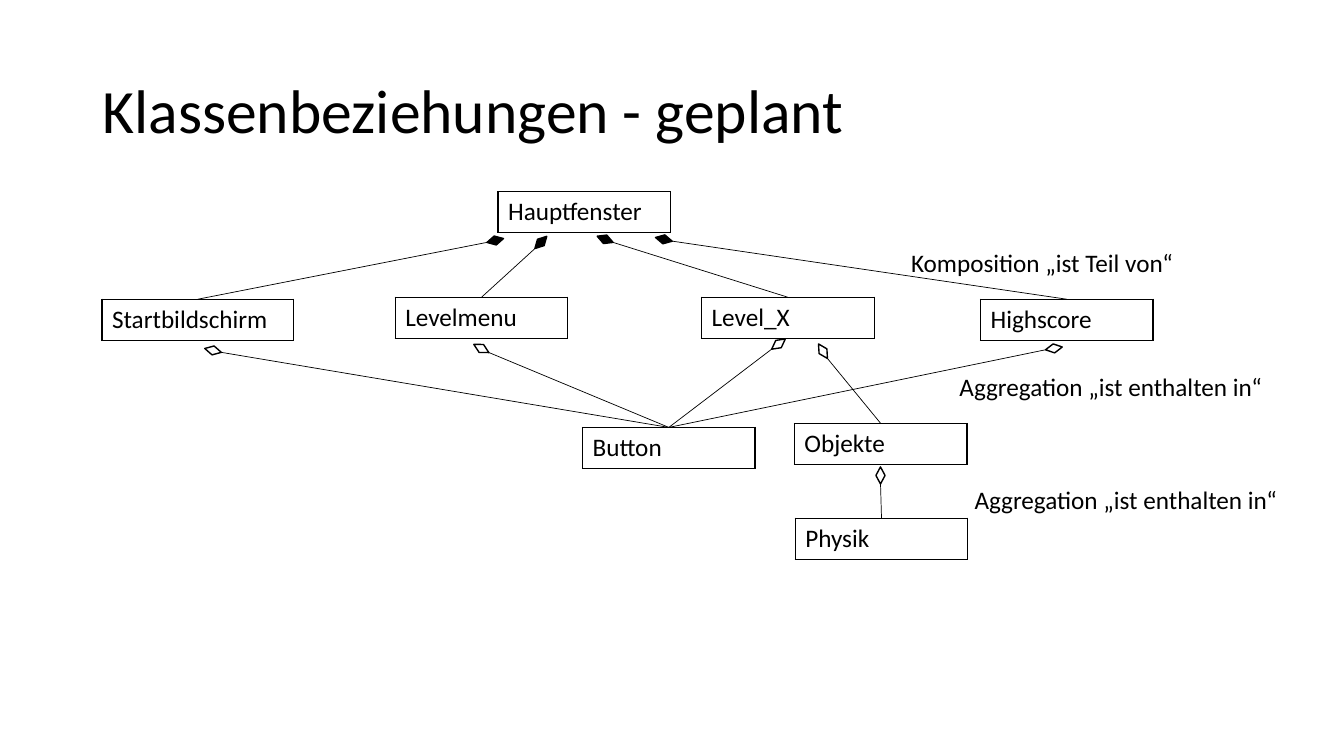
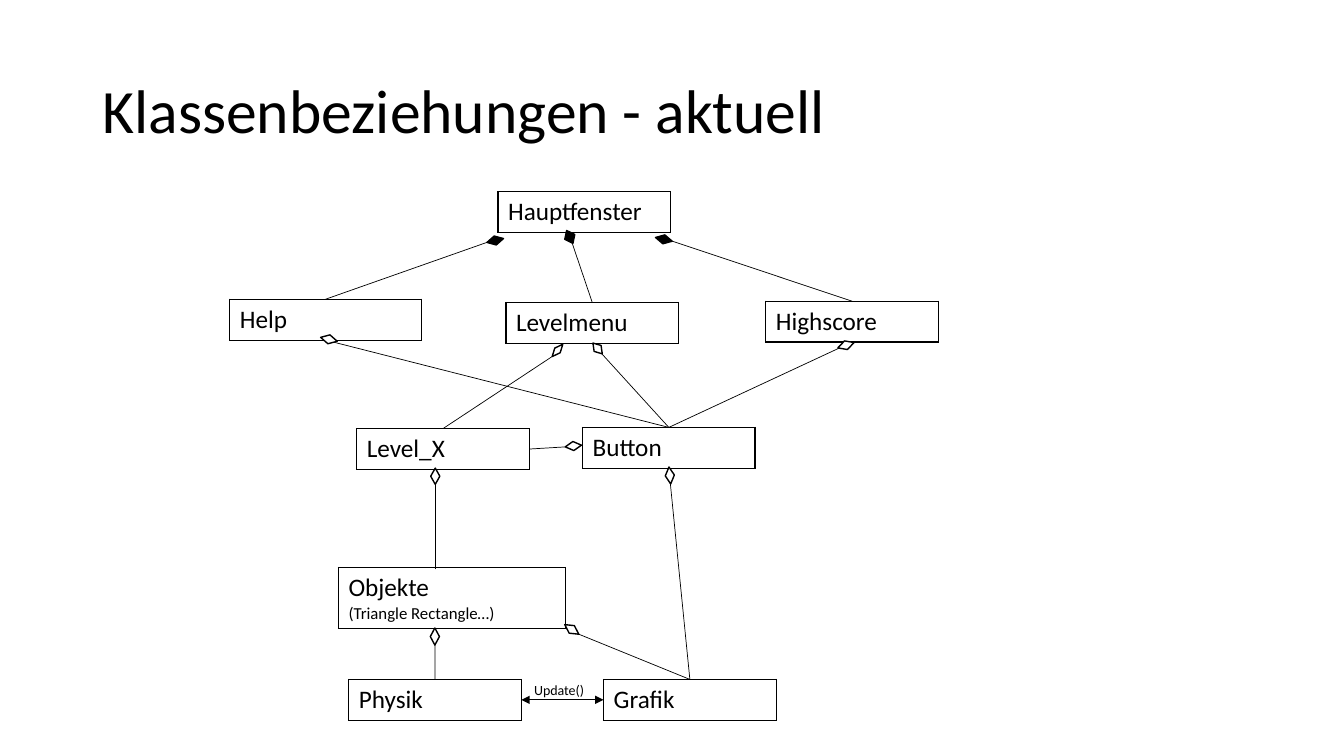
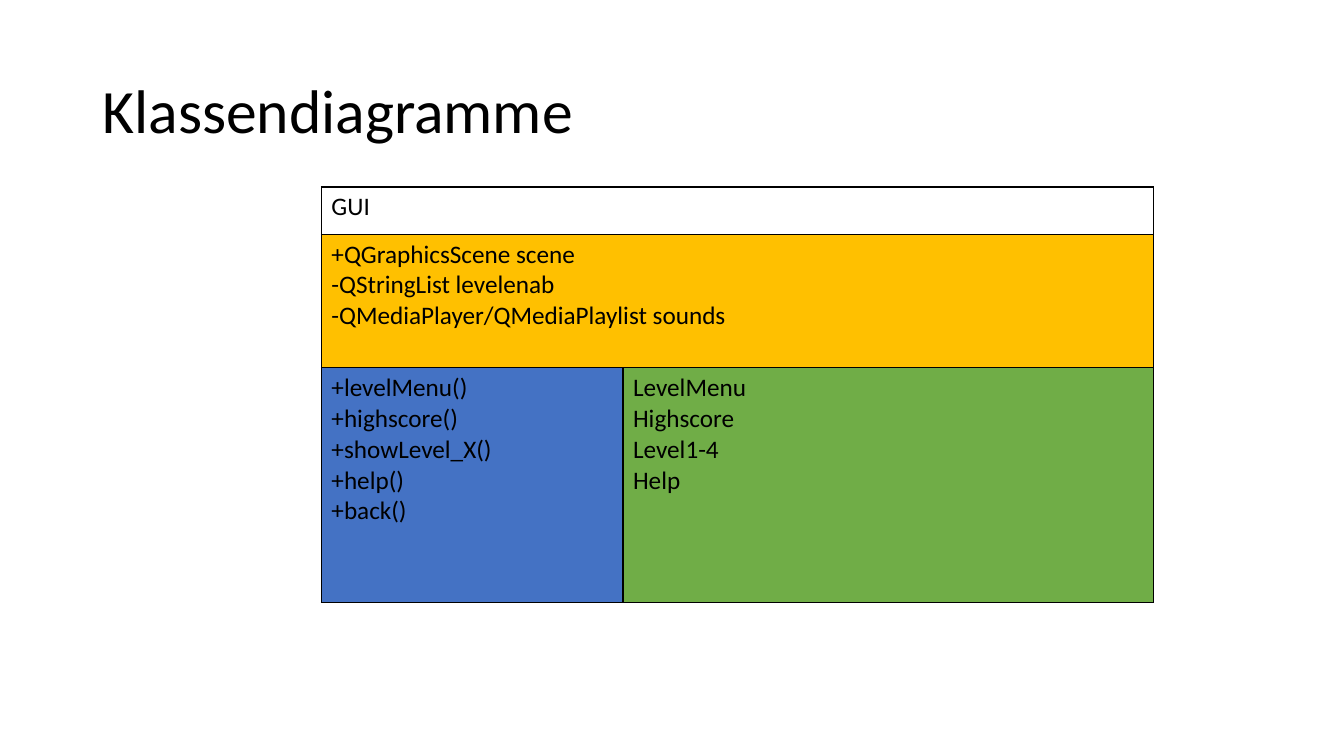
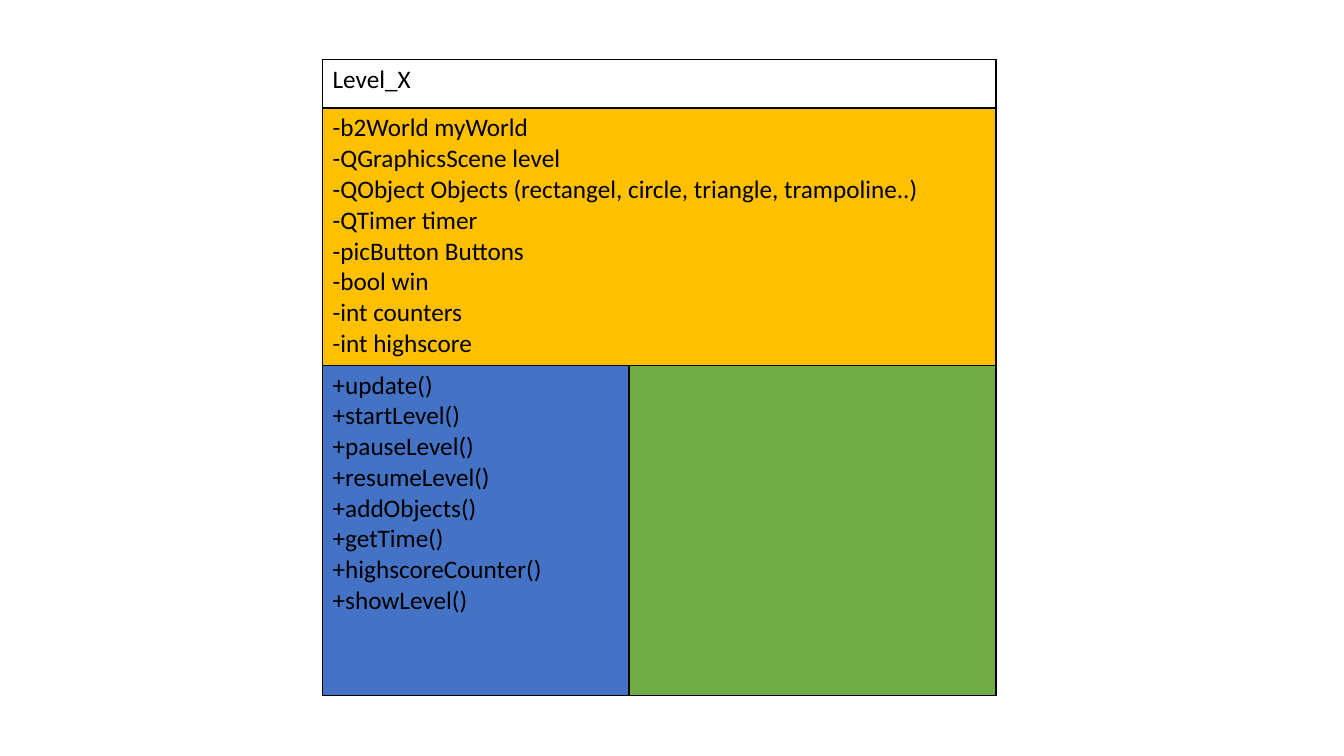
from dataclasses import dataclass
from math import cos, dist, radians, sin

from lxml.etree import SubElement
from pptx import Presentation
from pptx.dml.color import RGBColor
from pptx.enum.shapes import MSO_CONNECTOR as Connector, MSO_SHAPE as Shape
from pptx.enum.text import MSO_ANCHOR as Anchor, PP_ALIGN as Align
from pptx.oxml.ns import qn
from pptx.util import Cm, Pt

BLACK = RGBColor(0x00, 0x00, 0x00)
WHITE = RGBColor(0xFF, 0xFF, 0xFF)
AMBER = RGBColor(0xFF, 0xC0, 0x00)
BLUE = RGBColor(0x44, 0x72, 0xC4)
GREEN = RGBColor(0x70, 0xAD, 0x47)
FONT = "Calibri"
TITLE_ONLY, BLANK = 5, 6
BOX_WIDTH, BOX_HEIGHT = 4.35, 1.03


@dataclass
class Box:
    """Frame of a class box in cm, with the points where lines attach."""
    x: float
    y: float
    width: float
    height: float

    @property
    def top(self):
        return self.x + self.width / 2, self.y

    @property
    def bottom(self):
        return self.x + self.width / 2, self.y + self.height

    @property
    def left(self):
        return self.x, self.y + self.height / 2

    @property
    def right(self):
        return self.x + self.width, self.y + self.height / 2


class Deck:
    """Style of the presentation and the slide being filled."""

    def __init__(self):
        self.prs = Presentation()
        self.prs.slide_width, self.prs.slide_height = Cm(33.87), Cm(19.05)
        self.shapes = None

    def new_slide(self, title=None):
        layout = self.prs.slide_layouts[TITLE_ONLY if title else BLANK]
        self.shapes = self.prs.slides.add_slide(layout).shapes
        if title:
            heading = self.shapes.title
            heading.left, heading.top = Cm(2.33), Cm(1.01)
            heading.width, heading.height = Cm(29.21), Cm(3.68)
            self.set_text(heading.text_frame, title, 44)
            heading.text_frame.vertical_anchor = Anchor.MIDDLE
            heading.text_frame.paragraphs[0].line_spacing = 0.9

    def set_text(self, frame, text, *sizes):
        """Set the text; the last size holds for all further paragraphs."""
        frame.text = text
        for i, paragraph in enumerate(frame.paragraphs):
            paragraph.alignment = Align.LEFT
            for run in paragraph.runs:
                run.font.name = FONT
                run.font.size = Pt(sizes[min(i, len(sizes) - 1)])
                run.font.color.rgb = BLACK

    def label(self, text, x, y, width, height=1.02, size=18, wrap=False):
        frame = self.shapes.add_textbox(Cm(x), Cm(y), Cm(width), Cm(height)).text_frame
        frame.word_wrap = wrap
        self.set_text(frame, text, size)

    def grid(self, x, y, columns, rows):
        table = self.shapes.add_table(len(rows), len(columns), Cm(x), Cm(y),
                                      Cm(sum(columns)), Cm(sum(rows))).table
        table.first_row = table.horz_banding = False
        for column, width in zip(table.columns, columns):
            column.width = Cm(width)
        for row, height in zip(table.rows, rows):
            row.height = Cm(height)
        for cell in table.iter_cells():
            self.outline(cell)
            cell.fill.background()
        return table

    def outline(self, cell):
        properties = cell._tc.get_or_add_tcPr()
        for side in ("a:lnL", "a:lnR", "a:lnT", "a:lnB"):
            line = SubElement(properties, qn(side), w=str(Pt(1)))
            fill = SubElement(line, qn("a:solidFill"))
            SubElement(fill, qn("a:srgbClr"), val=str(BLACK))

    def box(self, text, x, y, width=BOX_WIDTH, height=BOX_HEIGHT):
        cell = self.grid(x, y, [width], [height]).cell(0, 0)
        self.set_text(cell.text_frame, text, 18, 12)
        return Box(x, y, width, height)

    def class_table(self, x, y, columns, rows, name, fields, methods, views=()):
        table = self.grid(x, y, columns, rows)
        for row in (0, 1):
            table.cell(row, 0).merge(table.cell(row, 1))
        parts = [(0, 0, [name], None), (1, 0, fields, AMBER),
                 (2, 0, methods, BLUE), (2, 1, views, GREEN)]
        for row, column, lines, colour in parts:
            cell = table.cell(row, column)
            if lines:
                self.set_text(cell.text_frame, "\n".join(lines), 18)
            if colour is not None:
                cell.fill.solid()
                cell.fill.fore_color.rgb = colour

    def line(self, start, end, arrows=False):
        connector = self.shapes.add_connector(
            Connector.STRAIGHT, *(Cm(value) for value in (*start, *end)))
        connector.line.width = Pt(0.5)
        connector.line.color.rgb = BLACK
        if arrows:
            for tag in ("a:headEnd", "a:tailEnd"):
                SubElement(connector.line._get_or_add_ln(), qn(tag), type="triangle")
        SubElement(connector._element.spPr, qn("a:effectLst"))

    def relation(self, start, centre, angle, end=None, fill=WHITE,
                 width=0.43, height=0.23):
        """Draw a line from the part to a diamond at the whole.

        Without an end the line stops at the diamond's nearer tip.
        """
        x, y = centre
        dx, dy = (width / 2 * f(radians(angle)) for f in (cos, sin))
        tips = [(x + dx, y + dy), (x - dx, y - dy)]
        self.line(start, end or min(tips, key=lambda tip: dist(tip, start)))
        diamond = self.shapes.add_shape(
            Shape.FLOWCHART_DECISION, Cm(x - width / 2), Cm(y - height / 2),
            Cm(width), Cm(height))
        diamond.rotation = angle
        diamond.shadow.inherit = False
        diamond.fill.solid()
        diamond.fill.fore_color.rgb = fill
        diamond.line.color.rgb = BLACK
        diamond.line.width = Pt(1)

    def composition(self, start, centre, angle, **options):
        self.relation(start, centre, angle, fill=BLACK, **options)


def planned_relations(deck):
    deck.new_slide("Klassenbeziehungen - geplant")
    deck.box("Hauptfenster", 12.55, 4.83)
    start_screen = deck.box("Startbildschirm", 2.57, 7.54, 4.83)
    level_menu = deck.box("Levelmenu", 9.96, 7.49)
    level = deck.box("Level_X", 17.68, 7.49)
    highscore = deck.box("Highscore", 24.71, 7.54)
    button = deck.box("Button", 14.68, 10.77)
    objects = deck.box("Objekte", 20.02, 10.67)
    physics = deck.box("Physik", 20.04, 13.06)

    # Parts of the main window
    deck.composition(start_screen.top, (12.48, 6.06), 346.9)
    deck.composition(level_menu.top, (13.63, 6.11), 314.1)
    deck.composition(level.top, (15.25, 6.03), 201.3)
    deck.composition(highscore.top, (16.73, 6.03), 192.5)

    # Aggregations
    for centre, angle in [((5.37, 8.83), 13.3), ((12.13, 8.78), 208.5),
                          ((19.62, 8.67), 323.2), ((26.56, 8.78), 350.7)]:
        deck.relation(button.top, centre, angle)
    deck.relation(objects.top, (20.74, 8.85), 238.3)
    deck.relation(physics.top, (22.19, 11.98), 270)

    # Legends
    deck.label("Komposition „ist Teil von“", 22.71, 6.1, 7.19)
    for x, y in [(23.93, 9.22), (24.31, 12.07)]:
        deck.label("Aggregation „ist enthalten in“", x, y, 8.23)


def current_relations(deck):
    deck.new_slide("Klassenbeziehungen - aktuell")
    deck.box("Hauptfenster", 12.55, 4.83)
    help_page = deck.box("Help", 5.79, 7.54, 4.83)
    level_menu = deck.box("Levelmenu", 12.75, 7.62)
    highscore = deck.box("Highscore", 19.3, 7.59)
    level = deck.box("Level_X", 8.99, 10.8)
    button = deck.box("Button", 14.68, 10.77)
    deck.box("Objekte\n(Triangle Rectangle…)", 8.53, 14.3, 5.72, 1.53)
    physics = deck.box("Physik", 8.79, 17.12)
    graphics = deck.box("Grafik", 15.21, 17.12)

    # Parts of the main window
    deck.composition(help_page.top, (12.48, 6.06), 346.9)
    deck.composition(level_menu.top, (14.36, 5.97), 334, end=(14.4, 6.07),
                     width=0.28, height=0.36)
    deck.composition(highscore.top, (16.73, 6.03), 192.5)

    # Aggregations
    deck.relation(button.top, (8.29, 8.55), 13.3, end=help_page.bottom)
    deck.relation(button.top, (15.06, 8.78), 229.1, end=level_menu.bottom, width=0.36)
    deck.relation(button.top, (21.32, 8.7), 341.9, end=highscore.bottom)
    deck.relation(level.top, (14.05, 8.83), 311, width=0.41, height=0.18)
    deck.relation(level.right, (14.45, 11.24), 354, width=0.41)
    deck.relation((10.97, 14.35), (10.97, 12), 270, width=0.41)
    deck.relation(physics.top, (10.96, 16.04), 270)
    deck.relation(graphics.top, (14.41, 15.86), 214.4)
    deck.relation(graphics.top, (16.88, 11.98), 264.1, end=button.bottom)

    # Exchange between physics and graphics
    deck.line(physics.right, graphics.left, arrows=True)
    deck.label("Update()", 13.21, 17.04, 2.16, 0.69, size=10, wrap=True)


def class_diagrams(deck):
    deck.new_slide("Klassendiagramme")
    deck.class_table(
        8.1, 4.71, [7.6, 13.36], [1.19, 3.37, 5.92], "GUI",
        ["+QGraphicsScene scene", "-QStringList levelenab",
         "-QMediaPlayer/QMediaPlaylist sounds"],
        ["+levelMenu()", "+highscore()", "+showLevel_X()", "+help()", "+back()"],
        ["LevelMenu", "Highscore", "Level1-4", "Help"])

    deck.new_slide()
    deck.class_table(
        8.13, 1.5, [7.72, 9.25], [1.22, 6.48, 8.33], "Level_X",
        ["-b2World myWorld", "-QGraphicsScene level",
         "-QObject Objects (rectangel, circle, triangle, trampoline..)",
         "-QTimer timer", "-picButton Buttons", "-bool win",
         "-int counters", "-int highscore"],
        ["+update()", "+startLevel()", "+pauseLevel()", "+resumeLevel()",
         "+addObjects()", "+getTime()", "+highscoreCounter()", "+showLevel()"])


def main():
    deck = Deck()
    planned_relations(deck)
    current_relations(deck)
    class_diagrams(deck)
    deck.prs.save("out.pptx")


if __name__ == "__main__":
    main()
